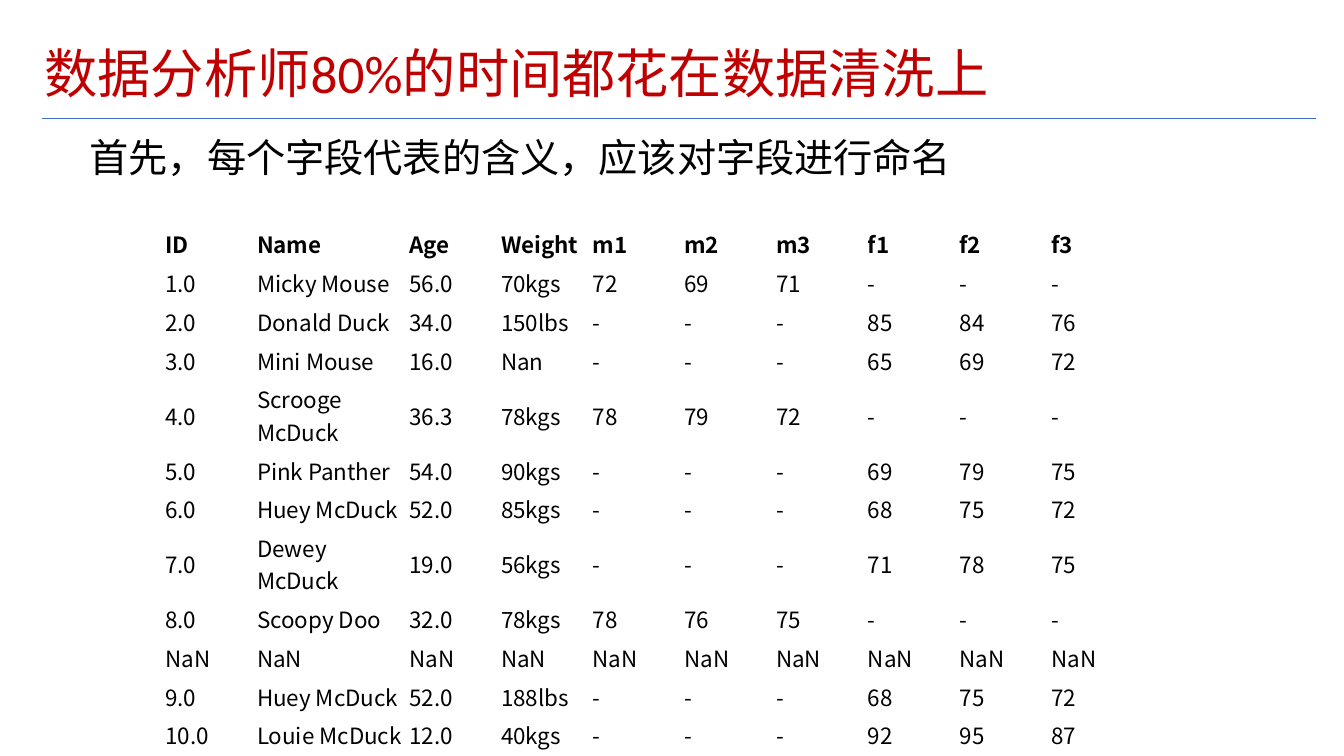
from lxml import etree
from pptx import Presentation
from pptx import util as u
from pptx.dml.color import RGBColor
from pptx.enum import shapes, text
from pptx.oxml import ns

CJK_FONT = "Noto Sans CJK SC"
HEADER = ["ID", "Name", "Age", "Weight", "m1", "m2", "m3", "f1", "f2", "f3"]
NO_READING = ["-"] * 3
RECORDS = [
    ["1.0", "Micky Mouse", "56.0", "70kgs", "72", "69", "71", *NO_READING],
    ["2.0", "Donald Duck", "34.0", "150lbs", *NO_READING, "85", "84", "76"],
    ["3.0", "Mini Mouse", "16.0", "Nan", *NO_READING, "65", "69", "72"],
    ["4.0", "Scrooge McDuck", "36.3", "78kgs", "78", "79", "72", *NO_READING],
    ["5.0", "Pink Panther", "54.0", "90kgs", *NO_READING, "69", "79", "75"],
    ["6.0", "Huey McDuck", "52.0", "85kgs", *NO_READING, "68", "75", "72"],
    ["7.0", "Dewey McDuck", "19.0", "56kgs", *NO_READING, "71", "78", "75"],
    ["8.0", "Scoopy Doo", "32.0", "78kgs", "78", "76", "75", *NO_READING],
    ["NaN"] * len(HEADER),
    ["9.0", "Huey McDuck", "52.0", "188lbs", *NO_READING, "68", "75", "72"],
    ["10.0", "Louie McDuck", "12.0", "40kgs", *NO_READING, "92", "95", "87"],
]
TWO_LINE_NAMES = ["Scrooge McDuck", "Dewey McDuck"]
TABLE_HEIGHT = 5.26
TEXT_LINE = 0.32


def color(value):
    return RGBColor.from_string(value)


class SlideBuilder:
    black = "000000"
    red = "C00000"
    blue = "3F6FC3"

    def __init__(self, page):
        self.page = page

    def add_span(self, para, words, size, font, ink, bold=False):
        span = para.add_run()
        span.text = words
        span.font.size = u.Pt(size)
        span.font.name = font
        span.font.bold = bold
        span.font.color.rgb = color(ink)
        # East Asian glyphs take their own typeface
        east_asian = etree.SubElement(span.font._element, ns.qn("a:ea"))
        east_asian.set("typeface", CJK_FONT)

    def add_text(self, left, top, width, height, words, size, ink, anchor):
        box = self.page.shapes.add_textbox(
            u.Inches(left), u.Inches(top), u.Inches(width), u.Inches(height))
        frame = box.text_frame
        frame.word_wrap = True
        frame.vertical_anchor = anchor
        frame.margin_left = frame.margin_right = u.Inches(0.05)
        frame.margin_top = frame.margin_bottom = u.Inches(0.05)
        para = frame.paragraphs[0]
        para.line_spacing = 0.9
        self.add_span(para, words, size, "Calibri", ink)

    def add_rule(self, left, right, top):
        rule = self.page.shapes.add_connector(
            shapes.MSO_CONNECTOR.STRAIGHT,
            u.Inches(left), u.Inches(top), u.Inches(right), u.Inches(top))
        rule.line.color.rgb = color(self.blue)
        rule.line.width = u.Pt(0.75)
        etree.SubElement(rule._element.spPr, ns.qn("a:effectLst"))

    def add_table(self, left, top, widths, heights, rows):
        table = self.page.shapes.add_table(
            len(rows), len(widths), u.Inches(left), u.Inches(top),
            u.Inches(sum(widths)), u.Inches(sum(heights))).table
        table.first_row = table.horz_banding = False
        for column, width in zip(table.columns, widths):
            column.width = u.Inches(width)
        for index, (row, height) in enumerate(zip(table.rows, heights)):
            row.height = u.Inches(height)
            for cell, words in zip(row.cells, rows[index]):
                self.fill_cell(cell, words, bold=index == 0)

    def fill_cell(self, cell, words, bold):
        cell.fill.background()
        cell.vertical_anchor = text.MSO_ANCHOR.MIDDLE
        cell.margin_left = cell.margin_right = cell.margin_top = u.Inches(0.01)
        cell.margin_bottom = u.Inches(0.05)
        self.add_span(cell.text_frame.paragraphs[0], words, 16, CJK_FONT,
                      self.black, bold)


def main():
    deck = Presentation()
    deck.slide_width = u.Inches(13.33)
    deck.slide_height = u.Inches(7.5)
    builder = SlideBuilder(deck.slides.add_slide(deck.slide_layouts[6]))

    # Title with its rule
    builder.add_rule(0.42, 13.05, 1.18)
    builder.add_text(0.39, 0.4, 11.13, 0.71, "数据分析师80%的时间都花在数据清洗上",
                     38, builder.red, text.MSO_ANCHOR.MIDDLE)

    # Statement
    builder.add_text(0.84, 1.33, 11.5, 0.75, "首先，每个字段代表的含义，应该对字段进行命名",
                     28, builder.black, text.MSO_ANCHOR.TOP)

    # Raw data: a long name adds one text line to its row
    widths = [1.51 if name == "Name" else 0.91 for name in HEADER]
    rows = [HEADER, *RECORDS]
    extras = [TEXT_LINE if row[1] in TWO_LINE_NAMES else 0 for row in rows]
    single = (TABLE_HEIGHT - sum(extras)) / len(rows)
    heights = [single + extra for extra in extras]
    builder.add_table(1.63, 2.25, widths, heights, rows)

    deck.save("out.pptx")


if __name__ == "__main__":
    main()
